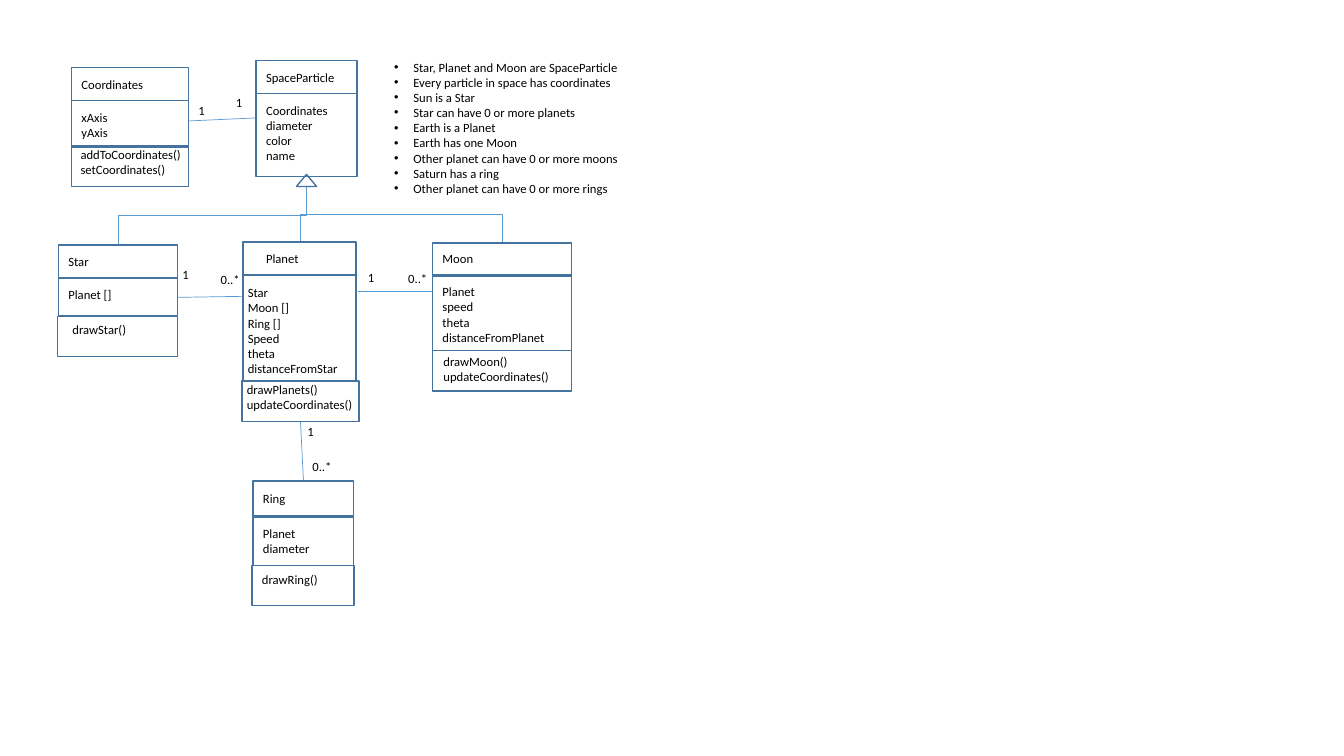
from lxml.etree import SubElement
from pptx import Presentation
from pptx.dml.color import RGBColor
from pptx.enum.shapes import MSO_CONNECTOR as LINE, MSO_SHAPE as SHAPE
from pptx.enum.text import MSO_ANCHOR as ANCHOR, MSO_AUTO_SIZE as AUTO
from pptx.oxml.ns import qn
from pptx.util import Inches, Pt


def write(frame, lines):
    frame.word_wrap = True
    frame.auto_size = AUTO.NONE
    frame.vertical_anchor = ANCHOR.TOP
    frame.margin_right = 0
    for i, line in enumerate(lines):
        para = frame.paragraphs[0] if i == 0 else frame.add_paragraph()
        para.space_before = Pt(0)
        run = para.add_run()
        run.text = line
        run.font.size = Pt(9)
        run.font.name = "Calibri"
        run.font.color.rgb = RGBColor.from_string("000000")


def frame_box(kind, *place):
    box = shapes.add_shape(kind, *map(Inches, place))
    box.shadow.inherit = False
    box.fill.background()
    box.line.color.rgb = RGBColor.from_string("43739E")
    box.line.width = Pt(1)


deck = Presentation()
deck.slide_width = Inches(13.33)
deck.slide_height = Inches(7.5)
slide = deck.slides.add_slide(deck.slide_layouts[1])
shapes = slide.shapes
title = shapes.title._element
title.getparent().remove(title)

facts = slide.placeholders[1]
facts.left, facts.top = Inches(3.81), Inches(0.54)
facts.width, facts.height = Inches(2.49), Inches(1.62)
write(facts.text_frame, [
    "Star, Planet and Moon are SpaceParticle",
    "Every particle in space has coordinates",
    "Sun is a Star",
    "Star can have 0 or more planets",
    "Earth is a Planet",
    "Earth has one Moon",
    "Other planet can have 0 or more moons",
    "Saturn has a ring",
    "Other planet can have 0 or more rings",
])
for para in facts.text_frame.paragraphs:
    props = para._p.get_or_add_pPr()
    props.set("marL", str(Inches(0.19)))
    props.set("indent", str(-Inches(0.19)))
    SubElement(props, qn("a:buFont")).set("typeface", "Arial")
    SubElement(props, qn("a:buChar")).set("char", "•")

links = [(x1, y1, x2, y2, LINE.STRAIGHT) for x1, y1, x2, y2 in [
    (1.87, 1.2, 2.54, 1.17),
    (2.41, 2.94, 1.76, 2.95),
    (4.29, 2.89, 3.55, 2.89),
    (3.01, 4.77, 2.98, 4.18),
]]
root_x, root_y = 3.04, 1.85
for x, y in [(1.17, 2.43), (2.98, 2.4), (4.98, 2.41)]:
    mid_x, mid_y = (root_x + x) / 2, (root_y + y) / 2
    half_x, half_y = (x - root_x) / 2, (y - root_y) / 2
    links.append((mid_x - half_y, mid_y + half_x,
                  mid_x + half_y, mid_y - half_x, LINE.ELBOW))

for *ends, kind in links:
    link = shapes.add_connector(kind, *map(Inches, ends))
    link.line.color.rgb = RGBColor.from_string("5B9BD5")
    link.line.width = Pt(0.5)
    props = link._element.spPr
    SubElement(props, qn("a:effectLst"))
    if kind == LINE.ELBOW:
        props.find(qn("a:xfrm")).set("rot", str(90 * 60000))

frame_box(SHAPE.ISOSCELES_TRIANGLE, 2.94, 1.73, 0.2, 0.12)

notes = [
    (1.87, 0.97, 0.27, ["1"]), (2.24, 0.89, 0.27, ["1"]),
    (1.71, 2.6, 0.27, ["1"]), (2.09, 2.65, 0.39, ["0..*"]),
    (3.55, 2.63, 0.27, ["1"]), (3.95, 2.64, 0.39, ["0..*"]),
    (2.95, 4.16, 0.27, ["1"]), (3, 4.5, 0.39, ["0..*"]),
]
parts = [
    (2.54, 0.6, 1, 0.33, 2.54, 0.64, 0.95, ["SpaceParticle"]),
    (2.54, 0.93, 1, 0.82, 2.54, 0.97, 0.82,
     ["Coordinates", "diameter", "color", "name"]),
    (0.71, 0.67, 1.16, 0.33, 0.71, 0.71, 0.95, ["Coordinates"]),
    (0.71, 1, 1.16, 0.46, 0.71, 1.04, 0.47, ["xAxis", "yAxis"]),
    (0.71, 1.45, 1.16, 0.4, 0.7, 1.41, 1.22,
     ["addToCoordinates()", "setCoordinates()"]),
    (2.41, 2.4, 1.12, 0.33, 2.54, 2.44, 0.95, ["Planet"]),
    (2.41, 2.73, 1.12, 1.05, 2.36, 2.78, 1.14,
     ["Star", "Moon []", "Ring []", "Speed", "theta", "distanceFromStar"]),
    (2.4, 3.78, 1.16, 0.4, 2.35, 3.74, 1.32,
     ["drawPlanets()", "updateCoordinates()"]),
    (4.29, 2.41, 1.38, 0.33, 4.29, 2.44, 1.13, ["Moon"]),
    (4.29, 2.73, 1.38, 0.75, 4.29, 2.77, 1.46,
     ["Planet", "speed", "theta", "distanceFromPlanet"]),
    (4.29, 3.48, 1.38, 0.4, 4.3, 3.46, 1.3,
     ["drawMoon()", "updateCoordinates()"]),
    (0.58, 2.43, 1.18, 0.33, 0.58, 2.47, 1.1, ["Star"]),
    (0.58, 2.76, 1.18, 0.37, 0.58, 2.8, 0.74, ["Planet []"]),
    (0.57, 3.14, 1.19, 0.4, 0.62, 3.14, 0.79, ["drawStar()"]),
    (2.51, 4.77, 1, 0.35, 2.51, 4.82, 0.95, ["Ring"]),
    (2.51, 5.13, 1, 0.48, 2.51, 5.17, 0.67, ["Planet", "diameter"]),
    (2.5, 5.61, 1.01, 0.4, 2.5, 5.62, 0.79, ["drawRing()"]),
]
for part in parts:
    frame_box(SHAPE.RECTANGLE, *part[:4])
    notes.append(part[4:])

for x, y, wide, lines in notes:
    high = 0.1 + 0.15 * len(lines)
    note = shapes.add_textbox(*map(Inches, (x, y, wide, high)))
    write(note.text_frame, lines)

deck.save("out.pptx")
